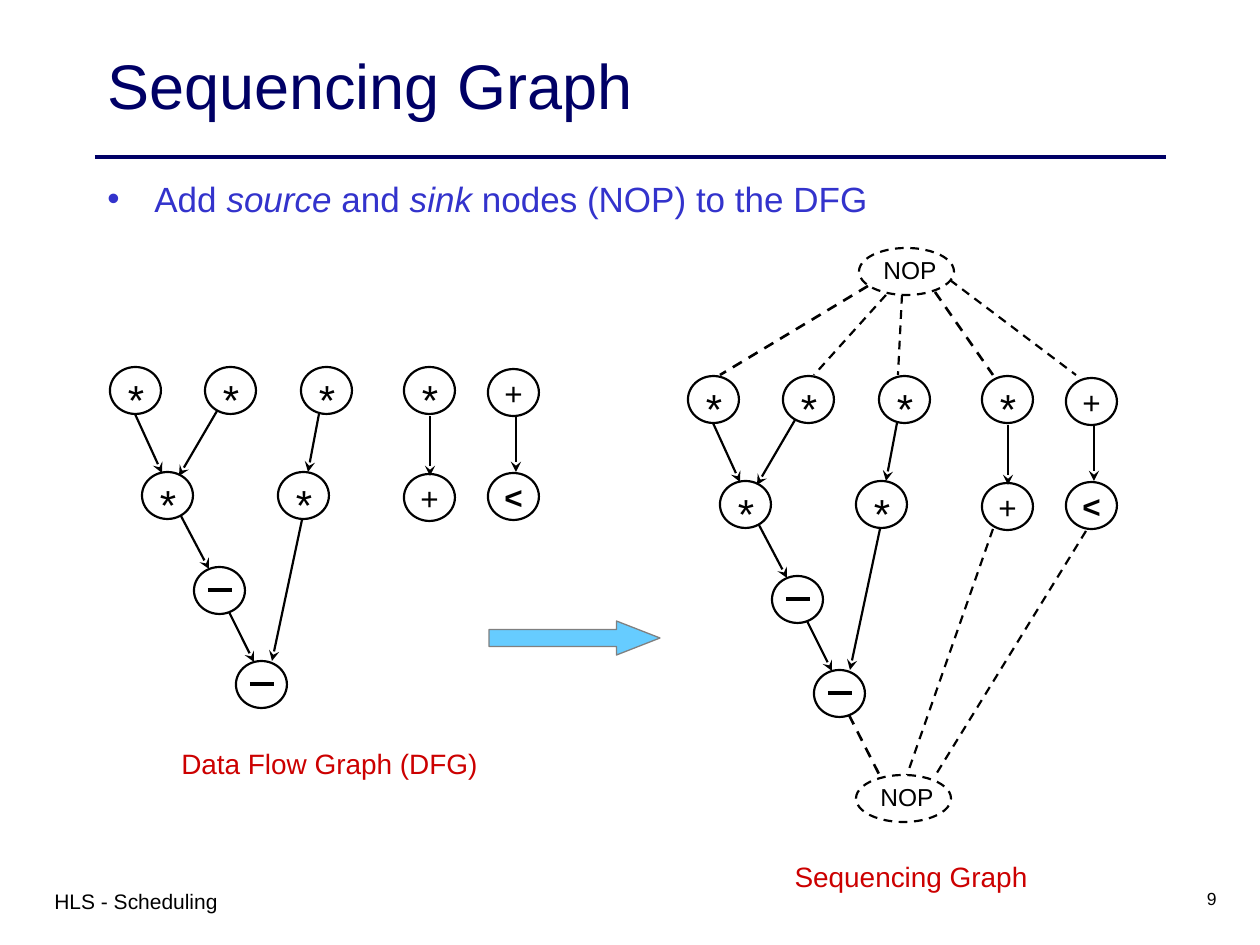
from lxml import etree
from pptx import Presentation
from pptx import util as u
from pptx.dml.color import RGBColor
from pptx.enum import dml, shapes, text
from pptx.oxml import ns

EMU_PER_PX = 914400 / 126
NODE_W, NODE_H = 51, 47
NOP_W, NOP_H = 95, 47
BLACK, NAVY, BLUE, RED = "000000", "000066", "3333CC", "CC0000"

OPERATIONS = [
    ("*", 0, 0), ("*", 95, 0), ("*", 191, 0), ("*", 294, 0), ("+", 378, 2),
    ("*", 32, 105), ("*", 168, 105), ("+", 294, 107), ("<", 378, 106),
    ("-", 84, 200), ("-", 126, 294),
]
DEPENDENCIES = [
    (25, 47, 52, 106), (107, 44, 69, 109), (209, 47, 198, 105),
    (320, 49, 320, 109), (406, 49, 406, 105), (71, 149, 99, 202),
    (119, 245, 144, 295), (192, 153, 162, 294),
]
NOP_EDGES = [
    (180, 38, 32, 127, 1.5), (198, 47, 126, 127, 1.25),
    (214, 47, 210, 127, 1.25), (247, 44, 305, 127, 1.5),
    (262, 32, 388, 127, 1.25), (161, 467, 192, 528, 1.5),
    (305, 281, 219, 527, 1.25), (398, 283, 247, 528, 1.25),
]


def px(length):
    """Turn pixels into EMU."""
    return u.Emu(round(length * EMU_PER_PX))


def color(hex_code):
    """Turn a hex string into a colour."""
    return RGBColor.from_string(hex_code)


def add_child(parent, tag, **attributes):
    """Append a DrawingML element to a parent."""
    return etree.SubElement(parent, ns.qn(tag), attributes)


def add_text(slide, box, runs, size=16, fill=BLACK, bold=False, align="LEFT",
             anchor="TOP", wrap=True, bullet=None):
    """Place one paragraph in a box, with every second run in italics."""
    frame = slide.shapes.add_textbox(*map(px, box)).text_frame
    frame.word_wrap = wrap
    frame.vertical_anchor = text.MSO_ANCHOR[anchor]
    if not wrap:
        frame.margin_left = frame.margin_right = 0
    paragraph = frame.paragraphs[0]
    paragraph.alignment = text.PP_ALIGN[align]
    if bullet:
        properties = paragraph._p.get_or_add_pPr()
        properties.set("marL", str(px(47)))
        properties.set("indent", str(px(-47)))
        add_child(add_child(properties, "a:buClr"), "a:srgbClr", val=fill)
        add_child(properties, "a:buFont", typeface="Arial")
        add_child(properties, "a:buChar", char=bullet)
    for index, words in enumerate([runs] if isinstance(runs, str) else runs):
        run = paragraph.add_run()
        run.text = words
        run.font.name = "Arial"
        run.font.size = u.Pt(size)
        run.font.bold = bold
        run.font.italic = index % 2 == 1
        run.font.color.rgb = color(fill)


def add_line(slide, start, end, width=1.25, stroke=BLACK, dashed=False, arrow=False):
    """Draw a straight line, optionally dashed or with an arrowhead."""
    line = slide.shapes.add_connector(
        shapes.MSO_CONNECTOR.STRAIGHT, *map(px, (*start, *end)))
    line.line.width = u.Pt(width)
    line.line.color.rgb = color(stroke)
    if dashed:
        line.line.dash_style = dml.MSO_LINE.DASH
    properties = line._element.spPr
    if arrow:
        add_child(properties.find(ns.qn("a:ln")), "a:tailEnd", type="stealth")
    add_child(properties, "a:effectLst")


def add_outline(slide, kind, box, stroke=BLACK, width=1.25, fill=None, dashed=False):
    """Draw a preset shape with an outline and an optional fill."""
    shape = slide.shapes.add_shape(kind, *map(px, box))
    shape.shadow.inherit = False
    if fill:
        shape.fill.solid()
        shape.fill.fore_color.rgb = color(fill)
    else:
        shape.fill.background()
    shape.line.color.rgb = color(stroke)
    shape.line.width = u.Pt(width)
    if dashed:
        shape.line.dash_style = dml.MSO_LINE.DASH
    return shape


def add_operation(slide, symbol, left, top):
    """Draw a round operation node with its symbol."""
    add_outline(slide, shapes.MSO_SHAPE.OVAL, (left, top, NODE_W, NODE_H))
    if symbol == "-":
        add_line(slide, (left + 14, top + 23), (left + 38, top + 23), width=2.25)
    elif symbol == "*":
        add_text(slide, (left + 5, top, 42, 63), symbol, size=24, align="CENTER")
    else:
        add_text(slide, (left + 4, top - 1, 43, 50), symbol, size=18,
                 bold=symbol == "<", align="CENTER", wrap=False)


def add_nop(slide, left, top):
    """Draw a dashed NOP node."""
    add_outline(slide, shapes.MSO_SHAPE.OVAL, (left, top, NOP_W, NOP_H), dashed=True)
    add_text(slide, (left + 12, top + 1, 78, 43), "NOP", size=14,
             align="CENTER", wrap=False)


def add_data_flow(slide, left, top):
    """Draw the operations and their dependencies."""
    for symbol, x, y in OPERATIONS:
        add_operation(slide, symbol, left + x, top + y)
    for x1, y1, x2, y2 in DEPENDENCIES:
        add_line(slide, (left + x1, top + y1), (left + x2, top + y2), arrow=True)


def add_sequencing(slide, left, top):
    """Draw the data flow between its source and sink nodes."""
    add_nop(slide, left + 171, top)
    add_data_flow(slide, left, top + 128)
    add_nop(slide, left + 168, top + 527)
    for x1, y1, x2, y2, width in NOP_EDGES:
        add_line(slide, (left + x1, top + y1), (left + x2, top + y2),
                 width=width, dashed=True)


def add_header(slide, left, top, width):
    """Place the title, its rule and the bullet line."""
    add_text(slide, (left, top, width, 126), "Sequencing Graph", size=36,
             fill=NAVY, anchor="MIDDLE")
    add_line(slide, (left, top + 136), (left + width, top + 136),
             width=2.25, stroke=NAVY)
    add_text(slide, (left, top + 150, 813, 77),
             ["Add ", "source", " and ", "sink ", "nodes (NOP) to the DFG"],
             size=20, fill=BLUE, bullet="•")


def add_footer(slide, left, top, width):
    """Place the running footer and the page number."""
    add_text(slide, (left, top, 567, 63), "HLS - Scheduling", size=12)
    add_text(slide, (left + width - 262, top, 262, 63), "9", size=10, align="RIGHT")


def add_caption(slide, box, words):
    """Place a red caption under a graph."""
    add_text(slide, box, words, fill=RED, align="CENTER", wrap=False)


def main():
    """Build the slide and save it."""
    deck = Presentation()
    deck.slide_width, deck.slide_height = px(1260), px(945)
    slide = deck.slides.add_slide(deck.slide_layouts[6])
    add_header(slide, 95, 21, 1071)
    add_data_flow(slide, 110, 367)
    add_sequencing(slide, 688, 248)
    add_caption(slide, (169, 740, 321, 47), "Data Flow Graph (DFG)")
    add_caption(slide, (782, 853, 258, 47), "Sequencing Graph")
    arrow = add_outline(slide, shapes.MSO_SHAPE.RIGHT_ARROW, (489, 621, 171, 34),
                        stroke="808080", width=0.75, fill="66CCFF")
    arrow.adjustments[1] = 1.28
    add_footer(slide, 42, 882, 1187)
    deck.save("out.pptx")


if __name__ == "__main__":
    main()
